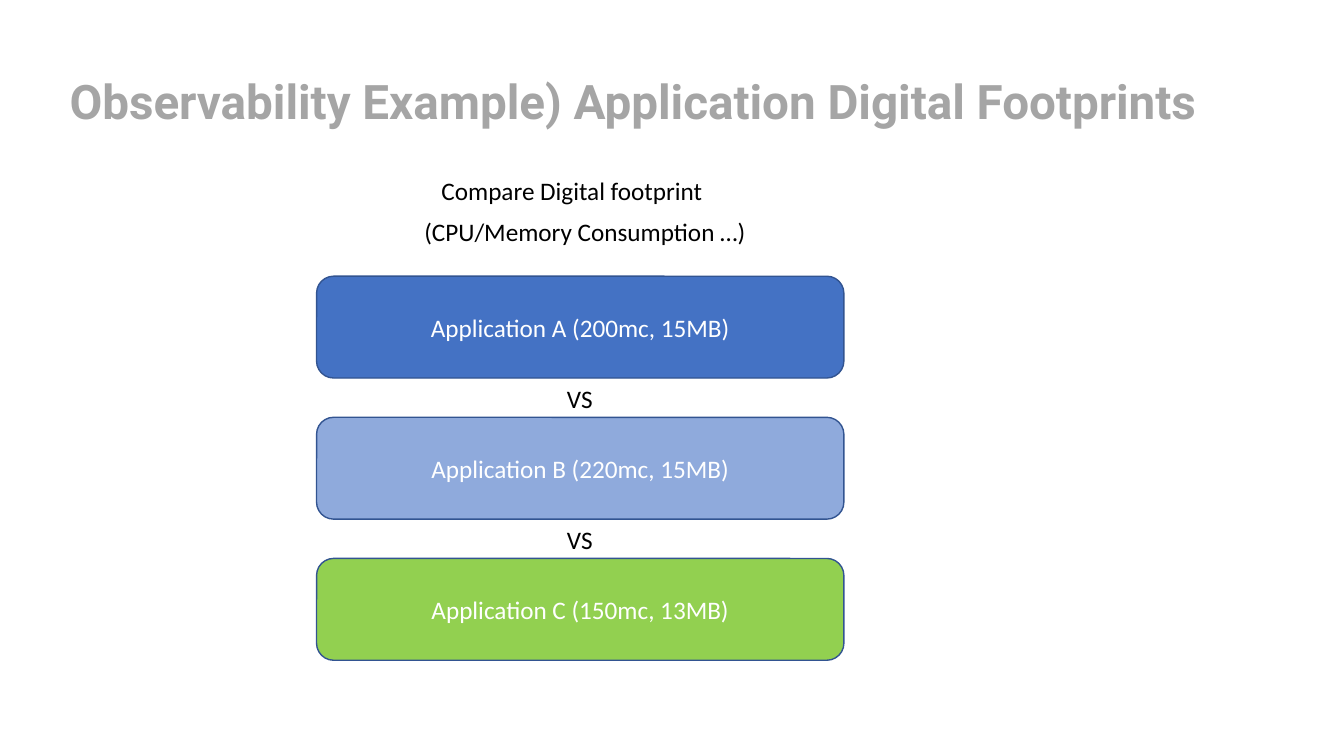
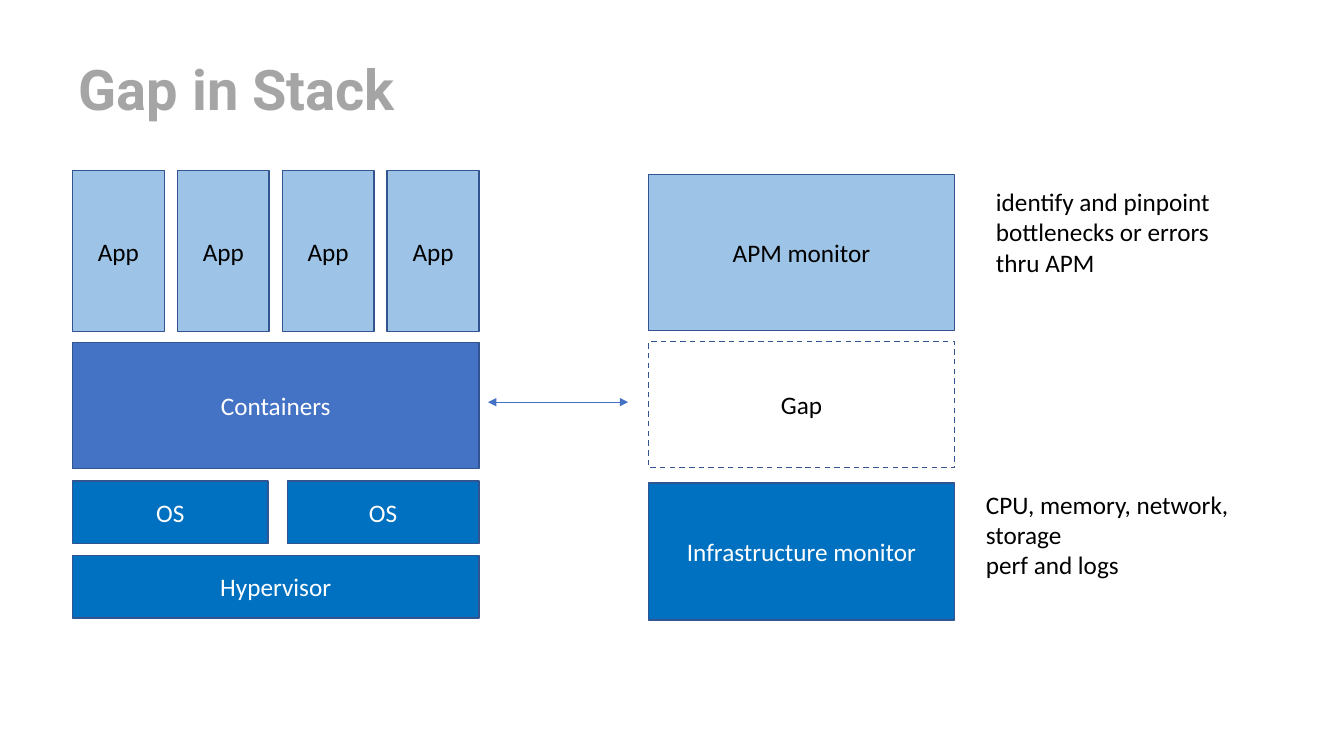
from collections import namedtuple

from lxml import etree
from pptx import Presentation
from pptx.dml.color import RGBColor
from pptx.enum import dml, shapes, text
from pptx.oxml import ns
from pptx.util import Inches, Pt

WHITE = RGBColor(0xFF, 0xFF, 0xFF)
BLACK = RGBColor(0x00, 0x00, 0x00)
TITLE_GREY = RGBColor(0xA5, 0xA5, 0xA5)
OUTLINE = RGBColor(0x32, 0x54, 0x91)
BLUE = RGBColor(0x44, 0x72, 0xC4)
SOFT_BLUE = RGBColor(0x8F, 0xAA, 0xDC)
PALE_BLUE = RGBColor(0x9D, 0xC3, 0xE6)
DEEP_BLUE = RGBColor(0x00, 0x70, 0xC0)
GREEN = RGBColor(0x92, 0xD0, 0x50)

BODY_FONT = "Calibri"
TITLE_FONT = "Roboto"
BODY_SIZE = 18

Box = namedtuple("Box", "left top width height")


def emu(box):
    return [Inches(length) for length in box]


def add_run(paragraph, words, color, size=BODY_SIZE, font=BODY_FONT, bold=False):
    run = paragraph.add_run()
    run.text = words
    run.font.name = font
    run.font.size = Pt(size)
    run.font.bold = bold
    run.font.color.rgb = color


def add_titled_slide(deck, words, box, size):
    slide = deck.slides.add_slide(deck.slide_layouts[5])
    title = slide.shapes.title
    title.left, title.top, title.width, title.height = emu(box)
    frame = title.text_frame
    frame.auto_size = text.MSO_AUTO_SIZE.NONE
    frame.word_wrap = True
    frame.vertical_anchor = text.MSO_ANCHOR.MIDDLE
    heading = frame.paragraphs[0]
    heading.alignment = text.PP_ALIGN.LEFT
    heading.line_spacing = 0.9
    add_run(heading, words, TITLE_GREY, size, TITLE_FONT, True)
    return slide


def add_block(slide, box, label, fill, color=WHITE, rounded=False, dashed=False):
    kind = shapes.MSO_SHAPE.ROUNDED_RECTANGLE if rounded else shapes.MSO_SHAPE.RECTANGLE
    block = slide.shapes.add_shape(kind, *emu(box))
    block.shadow.inherit = False
    block.fill.solid()
    block.fill.fore_color.rgb = fill
    block.line.color.rgb = OUTLINE
    block.line.width = Pt(1)
    if dashed:
        block.line.dash_style = dml.MSO_LINE.DASH
    block.text_frame.vertical_anchor = text.MSO_ANCHOR.MIDDLE
    label_line = block.text_frame.paragraphs[0]
    label_line.alignment = text.PP_ALIGN.CENTER
    add_run(label_line, label, color)


def add_note(slide, box, lines, wrap=False):
    frame = slide.shapes.add_textbox(*emu(box)).text_frame
    frame.word_wrap = wrap
    frame.auto_size = text.MSO_AUTO_SIZE.SHAPE_TO_FIT_TEXT
    for index, line in enumerate(lines):
        paragraph = frame.add_paragraph() if index else frame.paragraphs[0]
        add_run(paragraph, line, BLACK)


def add_double_arrow(slide, left, right, y):
    arrow = slide.shapes.add_connector(
        shapes.MSO_CONNECTOR.STRAIGHT, Inches(left), Inches(y), Inches(right), Inches(y))
    arrow.line.color.rgb = BLUE
    arrow.line.width = Pt(0.5)
    outline = arrow.line._get_or_add_ln()
    for end in ("a:headEnd", "a:tailEnd"):
        etree.SubElement(outline, ns.qn(end), type="triangle")
    etree.SubElement(arrow._element.spPr, ns.qn("a:effectLst"))


def add_caption(slide, box):
    add_note(slide, Box(box.left + 0.17, box.top, 2.82, 0.4), ["Compare Digital footprint"])
    add_note(slide, Box(box.left, box.top + 0.41, box.width, 0.4),
             ["(CPU/Memory Consumption …)"])


def add_comparison(slide, box):
    applications = [
        ("Application A (200mc, 15MB)", BLUE),
        ("Application B (220mc, 15MB)", SOFT_BLUE),
        ("Application C (150mc, 13MB)", GREEN),
    ]
    height, pitch = 1.01, 1.4
    for index, (label, fill) in enumerate(applications):
        top = box.top + index * pitch
        add_block(slide, Box(box.left, top, box.width, height), label, fill, rounded=True)
        if index:
            add_note(slide, Box(box.left + box.width / 2 - 0.23, top - 0.39, 0.46, 0.4), ["VS"])


def add_stack(slide, box):
    app_count, app_width = 4, 0.91
    app_pitch = (box.width - app_width) / (app_count - 1)
    for index in range(app_count):
        add_block(slide, Box(box.left + index * app_pitch, box.top, app_width, 1.6),
                  "App", PALE_BLUE, BLACK)
    add_block(slide, Box(box.left, box.top + 1.71, box.width, 1.25), "Containers", BLUE)
    for offset, width in ((0, 1.94), (2.13, 1.9)):
        add_block(slide, Box(box.left + offset, box.top + 3.08, width, 0.62), "OS", DEEP_BLUE)
    add_block(slide, Box(box.left, box.top + 3.82, box.width, 0.62), "Hypervisor", DEEP_BLUE)


def add_monitors(slide, box):
    monitors = [
        (0, 1.55, "APM monitor", PALE_BLUE, BLACK, False),
        (1.66, 1.25, "Gap", WHITE, BLACK, True),
        (3.06, 1.36, "Infrastructure monitor", DEEP_BLUE, WHITE, False),
    ]
    for offset, height, label, fill, color, dashed in monitors:
        add_block(slide, Box(box.left, box.top + offset, box.width, height),
                  label, fill, color, dashed=dashed)


def add_monitor_notes(slide, box):
    add_note(slide, Box(box.left + 0.1, box.top, box.width, 1.31),
             ["identify and pinpoint bottlenecks or errors", "thru APM"], wrap=True)
    add_note(slide, Box(box.left, box.top + 3, 2.94, 1.01),
             ["CPU, memory, network, storage", "perf and logs"], wrap=True)


def build_footprints(deck):
    slide = add_titled_slide(deck, "Observability Example) Application Digital Footprints",
                             Box(0.59, 0.31, 12.02, 1.45), 34)
    add_caption(slide, Box(4.11, 1.69, 3.42, 0.81))
    add_comparison(slide, Box(3.14, 2.74, 5.23, 3.81))


def build_gap(deck):
    slide = add_titled_slide(deck, "Gap in Stack", Box(0.68, 0.51, 11.5, 0.81), 40)
    add_stack(slide, Box(0.72, 1.69, 4.03, 4.44))
    add_double_arrow(slide, 4.84, 6.23, 3.99)
    add_monitors(slide, Box(6.43, 1.73, 3.04, 4.42))
    add_monitor_notes(slide, Box(9.68, 1.8, 3.45, 4.01))


def main():
    deck = Presentation()
    deck.slide_width = Inches(13.33)
    deck.slide_height = Inches(7.5)
    build_footprints(deck)
    build_gap(deck)
    deck.save("out.pptx")


if __name__ == "__main__":
    main()
